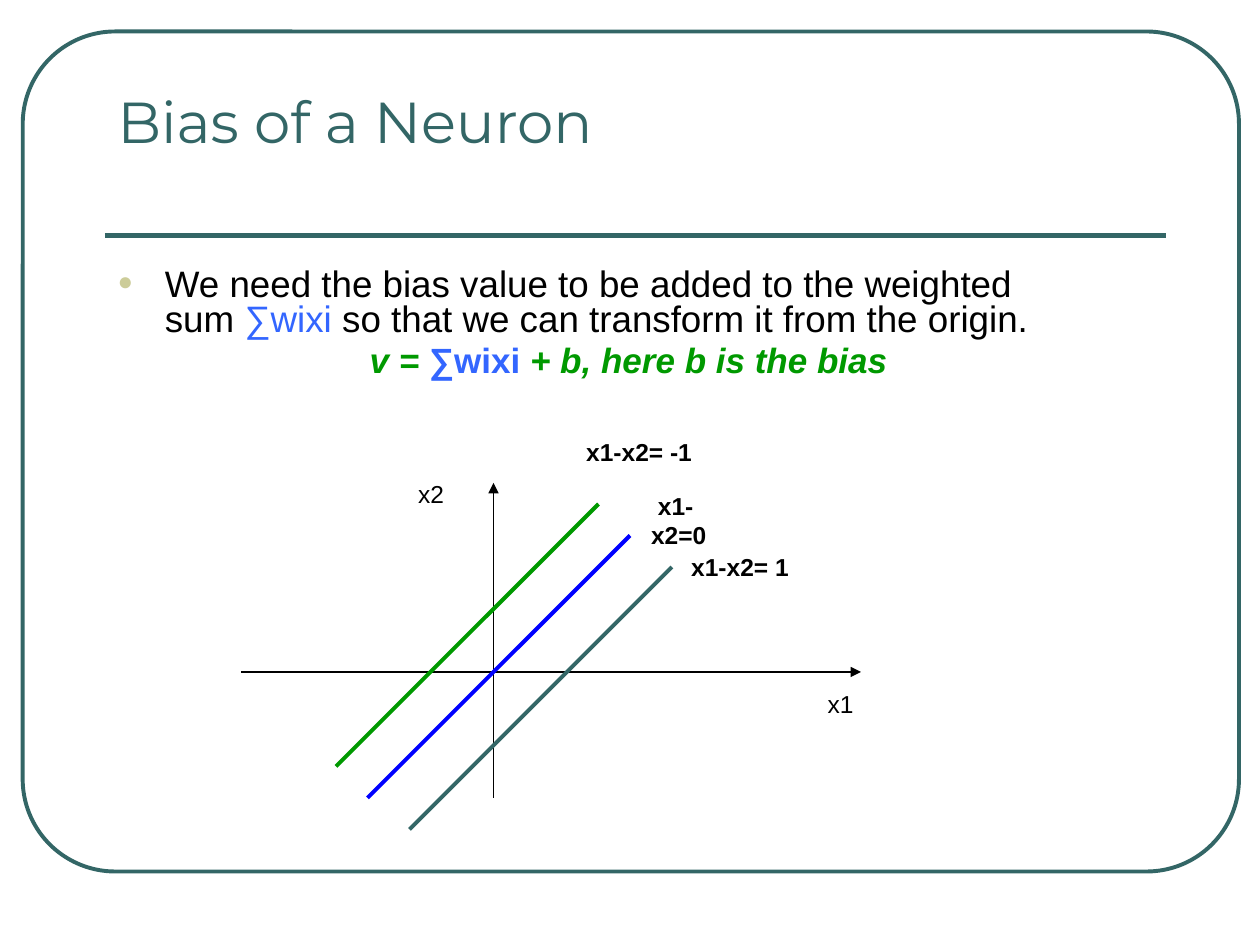
from lxml import etree
from pptx import Presentation
from pptx.dml.color import RGBColor
from pptx.enum.shapes import MSO_CONNECTOR, MSO_SHAPE
from pptx.enum.text import MSO_ANCHOR, MSO_AUTO_SIZE, PP_ALIGN
from pptx.oxml.ns import qn
from pptx.util import Pt

TEAL = RGBColor(0x33, 0x66, 0x66)
GREEN = RGBColor(0x00, 0x99, 0x00)
BLUE = RGBColor(0x00, 0x00, 0xFF)
LIGHT_BLUE = RGBColor(0x33, 0x66, 0xFF)
BLACK = RGBColor(0x00, 0x00, 0x00)
BULLET_COLOR = "CCCC99"

# Content: text spans are (text, color, bold, italic)
TITLE = "Bias of a Neuron"
BULLET = [
    ("We need the bias value to be added to the weighted sum ", BLACK, False, False),
    ("∑wixi ", LIGHT_BLUE, False, False),
    ("so that we can transform it from the origin.", BLACK, False, False),
]
FORMULA = [
    ("v = ", GREEN, True, True),
    ("∑wixi", LIGHT_BLUE, True, False),
    (" + b, here b is the bias", GREEN, True, True),
]
# Plot: axes as (start, end), boundaries as (upper end, color)
AXES = [((282, 456), (282, 276)), ((138, 384), (492, 384))]
BOUNDARIES = [((342, 288), GREEN), ((360, 306), BLUE), ((384, 324), TEAL)]
BOUNDARY_RUN = 150
# Labels: text, left, top, width, bold, wrap
LABELS = [
    ("x1-x2=0", 365, 277, 69.5, True, True),
    ("x1-x2= 1", 384, 312, 78, True, False),
    ("x1", 462, 390, 33, False, False),
    ("x2", 228, 270, 36, False, True),
    ("x1-x2= -1", 324, 246, 81, True, True),
]
LABEL_HEIGHT = 24


def place(shape, left, top, width, height):
    shape.left, shape.top = Pt(left), Pt(top)
    shape.width, shape.height = Pt(width), Pt(height)


def add_span(para, text, size, color, bold=False, italic=False, font="Arial"):
    span = para.add_run()
    span.text = text
    span.font.name, span.font.size = font, Pt(size)
    span.font.bold, span.font.italic = bold, italic
    span.font.color.rgb = color


def add_line(page, start, end, color, width, arrow=False):
    line = page.shapes.add_connector(
        MSO_CONNECTOR.STRAIGHT, *(Pt(value) for value in (*start, *end)))
    line.line.color.rgb = color
    line.line.width = Pt(width)
    if arrow:
        etree.SubElement(line.line._get_or_add_ln(), qn("a:tailEnd"), type="triangle")
    etree.SubElement(line._element.spPr, qn("a:effectLst"))


def format_body_paragraph(para, spans, size, margin, indent, bullet=None):
    para.alignment = PP_ALIGN.LEFT
    para.line_spacing = 0.8
    para.space_before = Pt(4)
    properties = para._p.get_or_add_pPr()
    properties.set("marL", str(Pt(margin)))
    properties.set("indent", str(Pt(indent)))
    if bullet:
        color = etree.SubElement(properties, qn("a:buClr"))
        etree.SubElement(color, qn("a:srgbClr"), val=BULLET_COLOR)
        etree.SubElement(properties, qn("a:buSzPct"), val="70000")
        etree.SubElement(properties, qn("a:buFont"), typeface="Arial")
        etree.SubElement(properties, qn("a:buChar"), char=bullet)
    else:
        etree.SubElement(properties, qn("a:buNone"))
    for text, span_color, bold, italic in spans:
        add_span(para, text, size, span_color, bold, italic)


def main():
    deck = Presentation()
    deck.slide_width, deck.slide_height = Pt(720), Pt(540)
    page = deck.slides.add_slide(deck.slide_layouts[1])

    # Frame and title rule
    frame = page.shapes.add_shape(
        MSO_SHAPE.ROUNDED_RECTANGLE, Pt(13), Pt(18), Pt(695), Pt(480))
    frame.adjustments[0] = 0.11
    frame.fill.background()
    frame.line.color.rgb = TEAL
    frame.line.width = Pt(2.25)
    frame.shadow.inherit = False
    add_line(page, (60, 134.5), (666, 134.5), TEAL, 3)

    # Title
    title = page.shapes.title
    place(title, 60, 42, 606, 90)
    title_text = title.text_frame
    title_text.auto_size = MSO_AUTO_SIZE.NONE
    title_text.vertical_anchor = MSO_ANCHOR.TOP
    title_text.margin_top = Pt(7)
    title_para = title_text.paragraphs[0]
    title_para.alignment = PP_ALIGN.LEFT
    add_span(title_para, TITLE, 33, TEAL, font="Montserrat")

    # Body
    body = page.placeholders[1]
    place(body, 60, 150, 570, 72)
    body_text = body.text_frame
    body_text.auto_size = MSO_AUTO_SIZE.NONE
    format_body_paragraph(body_text.paragraphs[0], BULLET, 21, 27, -27, "●")
    formula = body_text.add_paragraph()
    formula.level = 4
    format_body_paragraph(formula, FORMULA, 20, 162, -18)

    # Plot
    for start, end in AXES:
        add_line(page, start, end, BLACK, 0.75, arrow=True)
    for (x, y), color in BOUNDARIES:
        add_line(page, (x, y), (x - BOUNDARY_RUN, y + BOUNDARY_RUN), color, 2.25)

    # Plot labels
    for text, left, top, width, bold, wrap in LABELS:
        box = page.shapes.add_textbox(Pt(left), Pt(top), Pt(width), Pt(LABEL_HEIGHT))
        box.text_frame.word_wrap = wrap
        para = box.text_frame.paragraphs[0]
        add_span(para, " ", 14, BLACK)
        add_span(para, text, 14, BLACK, bold)

    deck.save("out.pptx")


if __name__ == "__main__":
    main()
